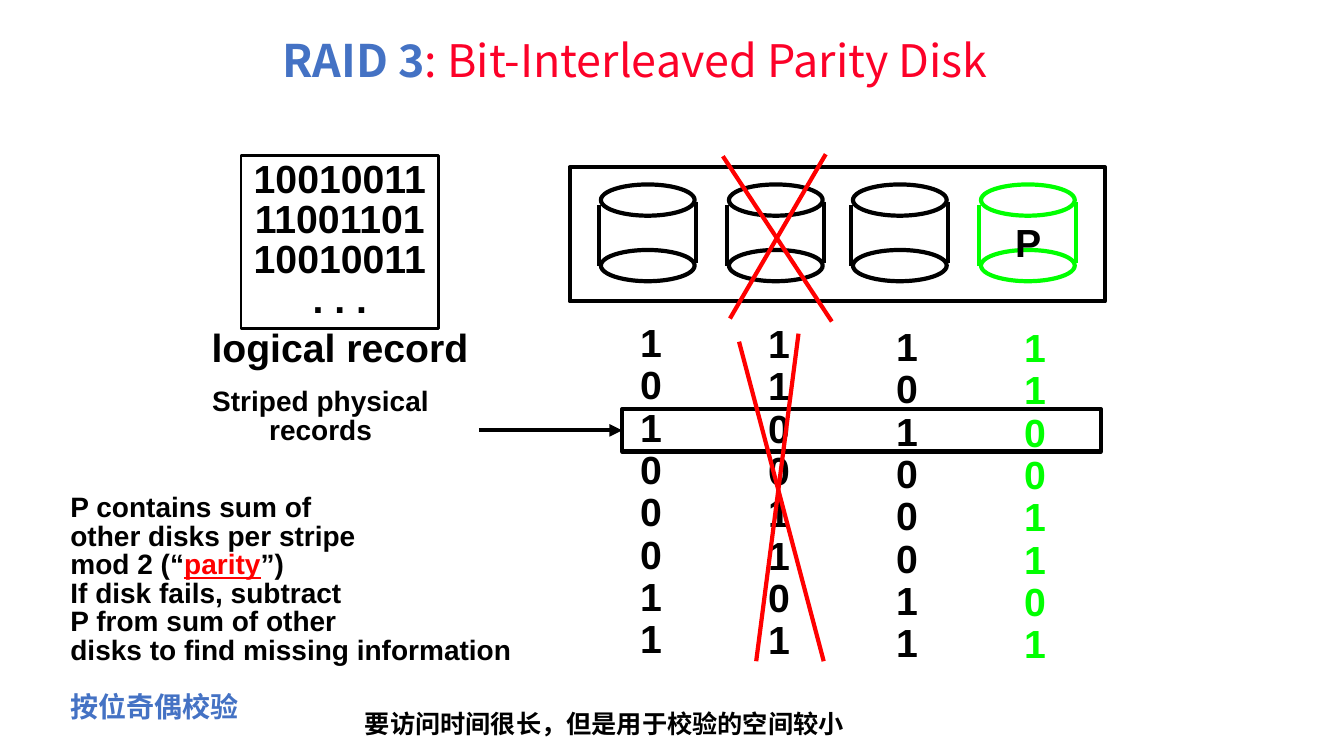
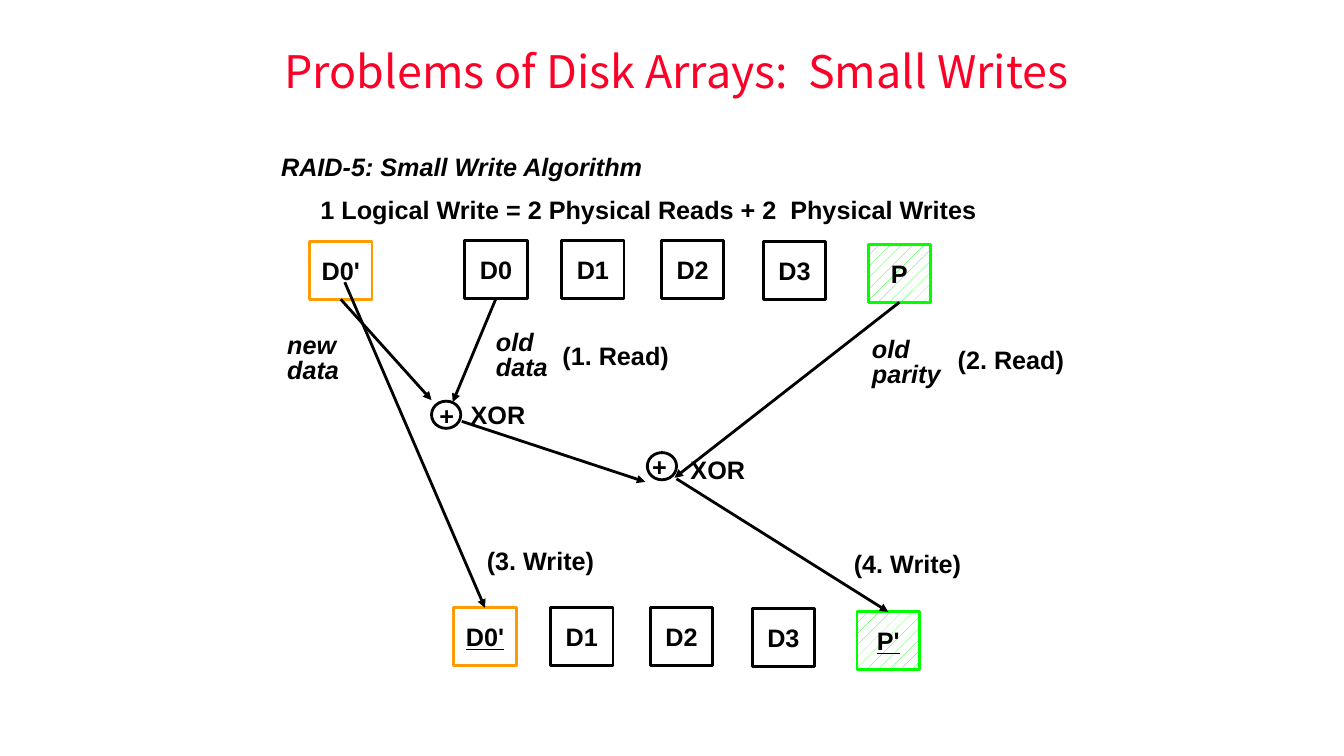
from typing import NamedTuple

from lxml.etree import SubElement
from pptx import Presentation
from pptx.dml.color import RGBColor
from pptx.enum.dml import MSO_PATTERN
from pptx.enum.shapes import MSO_CONNECTOR, MSO_SHAPE
from pptx.enum.text import MSO_ANCHOR as ANCHOR, MSO_AUTO_SIZE as AUTO, PP_ALIGN as ALIGN
from pptx.oxml.ns import qn
from pptx.util import Inches, Pt

BLACK = RGBColor(0, 0, 0)
WHITE = RGBColor(0xFF, 0xFF, 0xFF)
RED = RGBColor(0xFF, 0, 0)
CRIMSON = RGBColor(0xFC, 0x01, 0x28)
BLUE = RGBColor(0x44, 0x72, 0xC4)
GREEN = RGBColor(0, 0xFF, 0)
ORANGE = RGBColor(0xFE, 0x9B, 0x03)
LATIN = "Arial"
CJK = "Noto Sans CJK SC"
TITLE_ONLY = 5
TOP, LEFT, BOTTOM = 0, 1, 2


class Side(NamedTuple):
    """The middle of one side of a shape, where a line can be joined."""
    shape: object
    site: int


class Deck:
    def __init__(self):
        self.prs = Presentation()
        self.prs.slide_width, self.prs.slide_height = Inches(13.33), Inches(7.5)
        self.s = None

    def fill_text(self, tf, lines, size, spacing=1.0, align=ALIGN.LEFT, **style):
        """Fill a frame; a line is a string or a list of (text, style) runs."""
        for i, line in enumerate(lines):
            p = tf.add_paragraph() if i else tf.paragraphs[0]
            p.alignment, p.line_spacing = align, spacing
            for text, own in [(line, {})] if isinstance(line, str) else line:
                r = p.add_run()
                r.text = text
                self.style_run(r, size, **{**style, **own})

    def style_run(self, r, size, name=LATIN, color=BLACK, bold=True, italic=False,
                  underline=False):
        f = r.font
        f.size, f.name, f.bold, f.italic, f.underline = Pt(size), name, bold, italic, underline
        f.color.rgb = color
        SubElement(r._r.get_or_add_rPr(), qn("a:ea")).set("typeface", CJK)

    def new_slide(self, title, left, top, width, height):
        self.s = self.prs.slides.add_slide(self.prs.slide_layouts[TITLE_ONLY])
        sp = self.s.shapes.title
        sp.left, sp.top, sp.width, sp.height = map(Inches, (left, top, width, height))
        tf = sp.text_frame
        tf.word_wrap, tf.auto_size, tf.vertical_anchor = True, AUTO.NONE, ANCHOR.MIDDLE
        self.fill_text(tf, [title], 32, 0.9, name=CJK, color=CRIMSON, bold=False)

    def text(self, lines, left, top, width, height, size=18, spacing=0.85, wrap=False, **style):
        sp = self.s.shapes.add_textbox(*map(Inches, (left, top, width, height)))
        tf = sp.text_frame
        tf.word_wrap, tf.auto_size = wrap, AUTO.SHAPE_TO_FIT_TEXT
        self.fill_text(tf, lines, size, spacing, **style)
        return sp

    def shape(self, kind, left, top, width, height, color=BLACK, weight=2, fill=None):
        sp = self.s.shapes.add_shape(kind, *map(Inches, (left, top, width, height)))
        sp.shadow.inherit = False
        sp.line.color.rgb, sp.line.width = color, Pt(weight)
        if fill is None:
            sp.fill.background()
        else:
            sp.fill.solid()
            sp.fill.fore_color.rgb = fill
        return sp

    def box(self, lines, left, top, width, height, size=18, spacing=1.0, color=BLACK,
            fill=None, **style):
        sp = self.shape(MSO_SHAPE.RECTANGLE, left, top, width, height, color, fill=fill)
        tf = sp.text_frame
        tf.word_wrap, tf.vertical_anchor = False, ANCHOR.MIDDLE
        self.fill_text(tf, lines, size, spacing, ALIGN.CENTER, **style)
        return sp

    def line(self, start, end, color=BLACK, weight=3, arrow=False):
        """Draw from start to end, each an (x, y) point or a Side."""
        xy = [Inches(v) for end_point in (start, end)
              for v in ((0, 0) if isinstance(end_point, Side) else end_point)]
        c = self.s.shapes.add_connector(MSO_CONNECTOR.STRAIGHT, *xy)
        if isinstance(start, Side):
            c.begin_connect(*start)
        if isinstance(end, Side):
            c.end_connect(*end)
        c.line.color.rgb, c.line.width = color, Pt(weight)
        spPr = c._element.spPr
        if arrow:
            SubElement(spPr.find(qn("a:ln")), qn("a:tailEnd")).set("type", "triangle")
        SubElement(spPr, qn("a:effectLst"))

    def arrow(self, start, end, weight=2):
        self.line(start, end, weight=weight, arrow=True)

    def disk(self, left, color):
        for top in (1.83, 2.48):
            self.shape(MSO_SHAPE.OVAL, left + 0.02, top, 0.93, 0.31, color, 3, WHITE)
        for x, y in ((left, 2.03), (left + 0.96, 2)):
            self.line((x, y), (x, y + 0.61), color)

    def block(self, label, left, top, color=BLACK, hatched=False, **style):
        sp = self.box([label], left, top, 0.62, 0.57, color=color, **style)
        if hatched:
            sp.fill.patterned()
            sp.fill.pattern = MSO_PATTERN.PERCENT_10
            sp.fill.fore_color.rgb, sp.fill.back_color.rgb = GREEN, WHITE
        return sp

    def xor(self, left, top, plus_at, label_at):
        self.shape(MSO_SHAPE.OVAL, left, top, 0.29, 0.27, fill=WHITE)
        self.text(["+"], *plus_at, 0.35, 0.36)
        self.text(["XOR"], *label_at, 0.75, 0.36)


def raid3_slide(d):
    d.new_slide([("RAID 3", {"color": BLUE, "bold": True}),
                 (": Bit-Interleaved Parity Disk", {})], 2.7, 0.1, 8.26, 1.05)

    columns = ((5.94, 3.16, "10100011", BLACK), (7.21, 3.17, "11001101", BLACK),
               (8.44, 3.2, "10100011", BLACK), (9.71, 3.21, "11001101", GREEN))
    for i, (disk_left, bits_top, bits, color) in enumerate(columns):
        d.disk(disk_left, color)
        d.text(list(bits), 6.25 + 1.27 * i, bits_top, 0.41, 3.46, 28, 0.9, color=color)
    d.shape(MSO_SHAPE.RECTANGLE, 5.65, 1.66, 5.31, 1.33, weight=3)
    d.text(["P"], 9.97, 2.19, 0.46, 0.49, 28)

    d.box(["10010011", "11001101", "10010011", ". . ."], 2.39, 1.54, 1.96, 1.72,
          28, 0.85, fill=WHITE)
    d.text(["logical record"], 2, 3.23, 2.75, 0.49, 28)

    notes = d.text(["P contains sum of", "other disks per stripe",
                    [("mod 2 (“", {}), ("parity", {"color": RED, "underline": True}),
                     ("”)", {})],
                    "If disk fails, subtract", "P from sum of other",
                    "disks to find missing information",
                    [("按位奇偶校验", {"name": CJK, "color": BLUE})]],
                   0.6, 4.86, 4.6, 2.39, 20)
    notes.text_frame.paragraphs[-1].space_before = Pt(20)

    d.text(["Striped physical", "records"], 2, 3.81, 2.36, 0.67, 20, align=ALIGN.CENTER)
    stripe = d.shape(MSO_SHAPE.RECTANGLE, 6.17, 4.06, 4.75, 0.42, weight=3)
    d.arrow((4.75, 4.27), Side(stripe, LEFT), 3)

    for start, end in (((7.17, 1.55), (8.25, 3.19)), ((8.19, 1.53), (7.24, 3.16)),
                       ((7.33, 3.39), (8.17, 6.56)), ((7.92, 3.31), (7.5, 6.56))):
        d.line(start, end, RED)
    d.text(["要访问时间很长，但是用于校验的空间较小"], 3.52, 6.98, 5.67, 0.4,
           spacing=1.0, wrap=True)


def small_writes_slide(d):
    d.new_slide("Problems of Disk Arrays:  Small Writes", 2.72, 0.11, 9.47, 1.25)
    d.text(["RAID-5: Small Write Algorithm"], 2.69, 1.5, 3.8, 0.35, italic=True)
    d.text(["1 Logical Write = 2 Physical Reads + 2  Physical Writes"],
           3.08, 1.92, 6.71, 0.35)

    new_data = d.block("D0'", 3.07, 2.4, ORANGE)
    old_data = d.block("D0", 4.61, 2.39)
    old_parity = d.block("P", 8.61, 2.43, GREEN, hatched=True)
    row_dx, row_dy = -0.11, 3.64
    for label, left, top in (("D1", 5.57, 2.39), ("D2", 6.56, 2.39), ("D3", 7.57, 2.4)):
        d.block(label, left, top)
        d.block(label, left + row_dx, top + row_dy)
    written_data = d.block("D0'", 4.61 + row_dx, 2.39 + row_dy, ORANGE, underline=True)
    written_parity = d.block("P'", 8.61 + row_dx, 2.43 + row_dy, GREEN, hatched=True,
                             underline=True)

    d.xor(4.28, 3.98, (4.26, 3.97), (4.57, 3.96))
    d.xor(6.42, 4.49, (6.37, 4.47), (6.75, 4.5))
    for start, end in ((Side(new_data, BOTTOM), (4.28, 3.97)),
                       (Side(old_data, BOTTOM), (4.49, 3.99)),
                       ((4.58, 4.18), (6.4, 4.78)),
                       (Side(old_parity, BOTTOM), (6.69, 4.74)),
                       ((6.71, 4.75), Side(written_parity, TOP)),
                       ((3.42, 2.8), Side(written_data, TOP))):
        d.arrow(start, end)

    for words, left, top, width in (("new data", 2.75, 3.26, 0.72),
                                    ("old data", 4.82, 3.23, 0.72),
                                    ("old parity", 8.55, 3.3, 0.89)):
        d.text(words.split(), left, top, width, 0.61, italic=True)
    for step, left, top in (("(1. Read)", 5.48, 3.37), ("(2. Read)", 9.4, 3.41),
                            ("(3. Write)", 4.73, 5.41), ("(4. Write)", 8.37, 5.44)):
        d.text([step], left, top, 1.27, 0.36)


def main():
    d = Deck()
    raid3_slide(d)
    small_writes_slide(d)
    d.prs.save("out.pptx")


if __name__ == "__main__":
    main()
